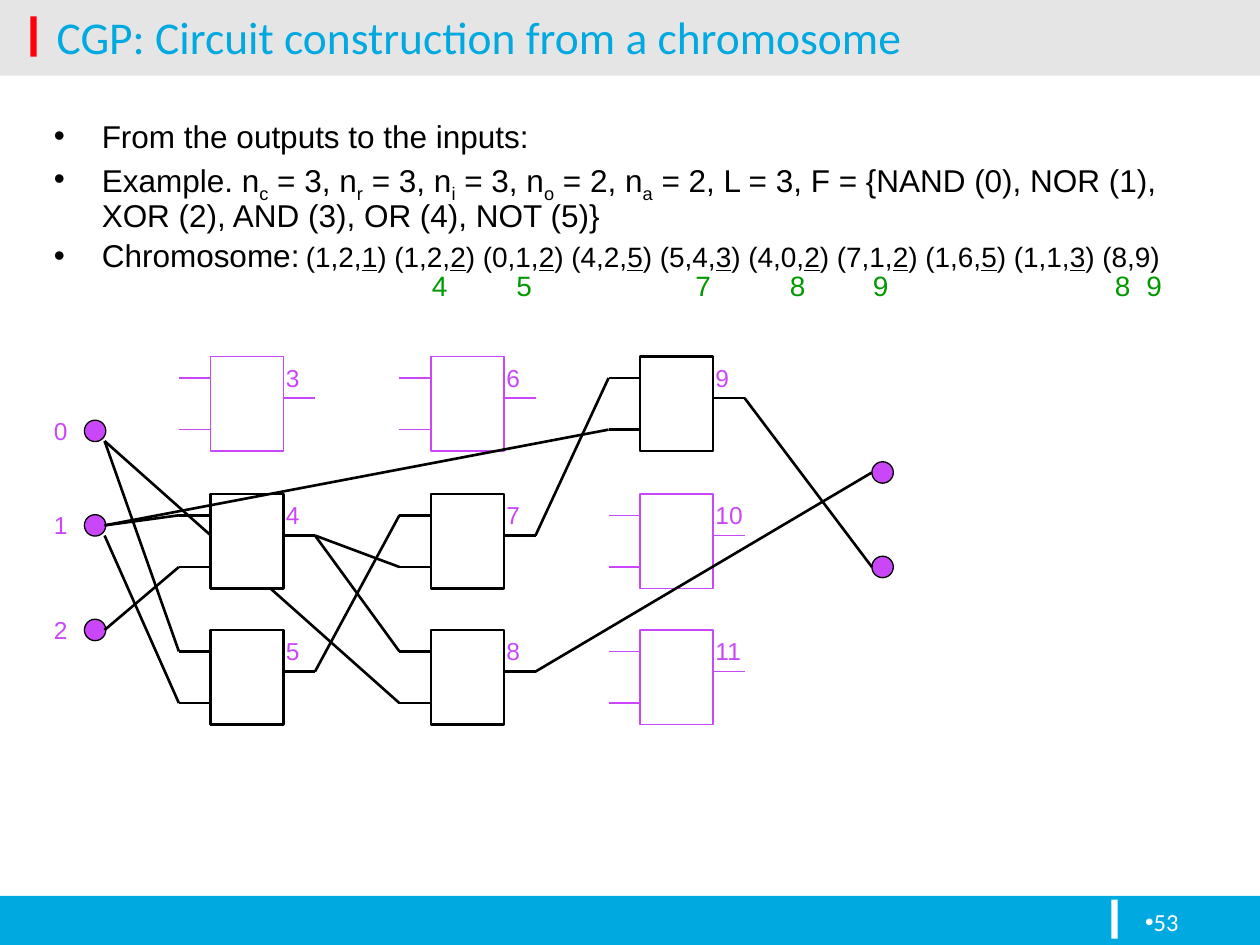
from lxml.etree import SubElement
from pptx import Presentation
from pptx.dml.color import RGBColor
from pptx.enum.shapes import MSO_CONNECTOR, MSO_SHAPE
from pptx.enum.text import MSO_ANCHOR, MSO_AUTO_SIZE, PP_ALIGN
from pptx.oxml.ns import qn
from pptx.util import Inches, Pt

COLORS = {"blue": "00A9E0", "red": "FE000C", "white": "FFFFFF", "black": "000000",
          "violet": "CA47F9", "green": "009900"}

TITLE = "CGP: Circuit construction from a chromosome"
PAGE = "53"
PARAMS = [("c", 3), ("r", 3), ("i", 3), ("o", 2), ("a", 2)]
GATES = "L = 3, F = {NAND (0), NOR (1), XOR (2), AND (3), OR (4), NOT (5)}"
# node: (first input, second input, function)
GENES = {3: (1, 2, 1), 4: (1, 2, 2), 5: (0, 1, 2),
         6: (4, 2, 5), 7: (5, 4, 3), 8: (4, 0, 2),
         9: (7, 1, 2), 10: (1, 6, 5), 11: (1, 1, 3)}
OUTPUTS = {8: 3.75, 9: 4.5}          # source node: height of the output
INPUTS = [(3.42, 3.5), (4.17, 4.17), (5, 5)]   # dot centre, wire start
ACTIVE = (8, 4, 9, 7, 5)             # order of drawing
MARKS = [(4, 3.33), (5, 4), (7, 5.42), (8, 6.17), (9, 6.83), (8, 8.75), (9, 9)]

# left, top, width, height, colour, opacity in percent
BARS = [(0, 7.11, 10, 0.39, "blue", 100), (0, 0.56, 10, 0.04, "black", 10),
        (0, 0, 10, 0.56, "black", 10), (0.24, 0.13, 0.05, 0.32, "red", 100),
        (8.82, 7.14, 0.05, 0.31, "white", 100)]

COLS, ROWS = (1.67, 3.42, 5.08), (2.83, 3.92, 5)
BOX_W, BOX_H, STUB = 0.58, 0.75, 0.25
IN_DY, OUT_DY = (0.17, 0.58), 0.33
DOT, WIRE_X, OUT_X = 0.17, 0.83, 6.92

prs = Presentation()
prs.slide_width, prs.slide_height = Inches(10), Inches(7.5)
slide = prs.slides.add_slide(prs.slide_layouts[5])
shapes = slide.shapes


def rgb(name):
    return RGBColor.from_string(COLORS[name])


def style(run, size, color, font="Arial", **extra):
    for key, value in {"size": Pt(size), "name": font, **extra}.items():
        setattr(run.font, key, value)
    run.font.color.rgb = rgb(color)


def add_run(par, text, *args, base=0, **kw):
    run = par.add_run()
    run.text = text
    style(run, *args, **kw)
    if base:
        run.font._element.set("baseline", str(base * 1000))


def bullet(par, indent):
    props = par._p.get_or_add_pPr()
    props.set("marL", str(Inches(indent)))
    props.set("indent", str(-Inches(indent)))
    SubElement(props, qn("a:buFont")).set("typeface", "Arial")
    SubElement(props, qn("a:buChar")).set("char", "•")


def add_box(x, y, w, h, fill, line=None, width=0.75, kind=MSO_SHAPE.RECTANGLE):
    shape = shapes.add_shape(kind, *map(Inches, (x, y, w, h)))
    shape.shadow.inherit = False
    shape.fill.solid()
    shape.fill.fore_color.rgb = rgb(fill)
    if line:
        shape.line.color.rgb = rgb(line)
        shape.line.width = Pt(width)
    else:
        shape.line.fill.background()
    return shape


def add_line(start, end, color="black", width=1.5):
    line = shapes.add_connector(MSO_CONNECTOR.STRAIGHT, *map(Inches, (*start, *end)))
    line.line.color.rgb = rgb(color)
    line.line.width = Pt(width)
    SubElement(line._element.spPr, qn("a:effectLst"))


def add_frame(x, y, w, h, wrap=True):
    frame = shapes.add_textbox(*map(Inches, (x, y, w, h))).text_frame
    frame.word_wrap = wrap
    frame.auto_size = MSO_AUTO_SIZE.NONE if wrap else MSO_AUTO_SIZE.SHAPE_TO_FIT_TEXT
    return frame


def add_label(text, x, y, size=14, color="violet"):
    w = 0.19 + 0.12 * len(text) if size == 14 else 0.32
    frame = add_frame(x, y, w, 0.33 if size == 14 else 0.37, wrap=False)
    add_run(frame.paragraphs[0], text, size, color)


def add_dot(x, mid):
    add_box(x, mid - DOT / 2, DOT, DOT, "violet", "black", kind=MSO_SHAPE.OVAL)


def corner(node):
    col, row = divmod(node - 3, 3)
    return COLS[col], ROWS[row]


def source(node, user):
    """Point where a wire to the user node leaves an input or a node."""
    if node < 3:
        drop = 0.08 if (node, user) == (1, 5) else 0
        return WIRE_X, INPUTS[node][1] + drop
    x, y = corner(node)
    return x + BOX_W + STUB, y + OUT_DY


def add_node(node, color, width):
    x, y = corner(node)
    add_box(x, y, BOX_W, BOX_H, "white", color, width)
    for dy in IN_DY:
        add_line((x, y + dy), (x - STUB, y + dy), color, width)
    right = x + BOX_W
    add_line((right, y + OUT_DY), (right + STUB, y + OUT_DY), color, width)


def add_wires(node):
    x, y = corner(node)
    for dy, origin in zip(IN_DY, GENES[node]):
        add_line((x - STUB, y + dy), source(origin, node))
    if node in OUTPUTS:
        add_line((OUT_X, OUTPUTS[node]), source(node, None))


# Bars, title and page number
for x, y, w, h, color, alpha in BARS:
    bar = add_box(x, y, w, h, color)
    if alpha < 100:
        tint = bar._element.spPr.find(".//" + qn("a:srgbClr"))
        SubElement(tint, qn("a:alpha")).set("val", str(alpha * 1000))

title = shapes.title
for key, value in zip(("left", "top", "width", "height"), (0.35, 0.12, 9.65, 0.33)):
    setattr(title, key, Inches(value))
title.text_frame.vertical_anchor = MSO_ANCHOR.MIDDLE
title.text_frame.auto_size = MSO_AUTO_SIZE.NONE
title.text_frame.paragraphs[0].alignment = PP_ALIGN.LEFT
add_run(title.text_frame.paragraphs[0], TITLE, 26, "blue", "Calibri")
shapes._spTree.append(title._element)  # in front of the bars

par = add_frame(8.99, 7.15, 0.9, 0.36).paragraphs[0]
bullet(par, 0)
add_run(par, PAGE, 14, "white", "Calibri")

# Bullet list
body = add_frame(0.33, 0.91, 9.5, 0.58)
intro, example, chromo = pars = [body.paragraphs[0], body.add_paragraph(), body.add_paragraph()]
for par in pars:
    bullet(par, 0.38)
    par.line_spacing = 0.9
    if par is not intro:
        par.space_before = Pt(3.6)

add_run(intro, "From the outputs to the inputs:", 18, "black")
add_run(example, "Example. ", 18, "black")
for sub, value in PARAMS:
    add_run(example, "n", 18, "black")
    add_run(example, sub, 18, "black", base=-25)
    add_run(example, f" = {value}, ", 18, "black")
add_run(example, GATES, 18, "black")
add_run(chromo, "Chromosome:\t", 18, "black")
for first, second, func in GENES.values():
    add_run(chromo, f"({first},{second},", 16, "black")
    add_run(chromo, str(func), 16, "black", underline=True)
    add_run(chromo, ") ", 16, "black")
add_run(chromo, "({},{})".format(*OUTPUTS), 16, "black")
for node, x in MARKS:
    add_label(str(node), x, 2.08, 16, "green")

# Circuit
for node in GENES:
    if node not in ACTIVE:
        add_node(node, "violet", 0.75)
    x, y = corner(node)
    add_label(str(node), x + 0.5, y)
for i, (mid, _) in enumerate(INPUTS):
    add_dot(0.67, mid)
    add_label(str(i), 0.33, mid - 0.17)
for mid in OUTPUTS.values():
    add_dot(OUT_X, mid)
for node in ACTIVE:
    add_node(node, "black", 1.5)
    add_wires(node)

prs.save("out.pptx")
